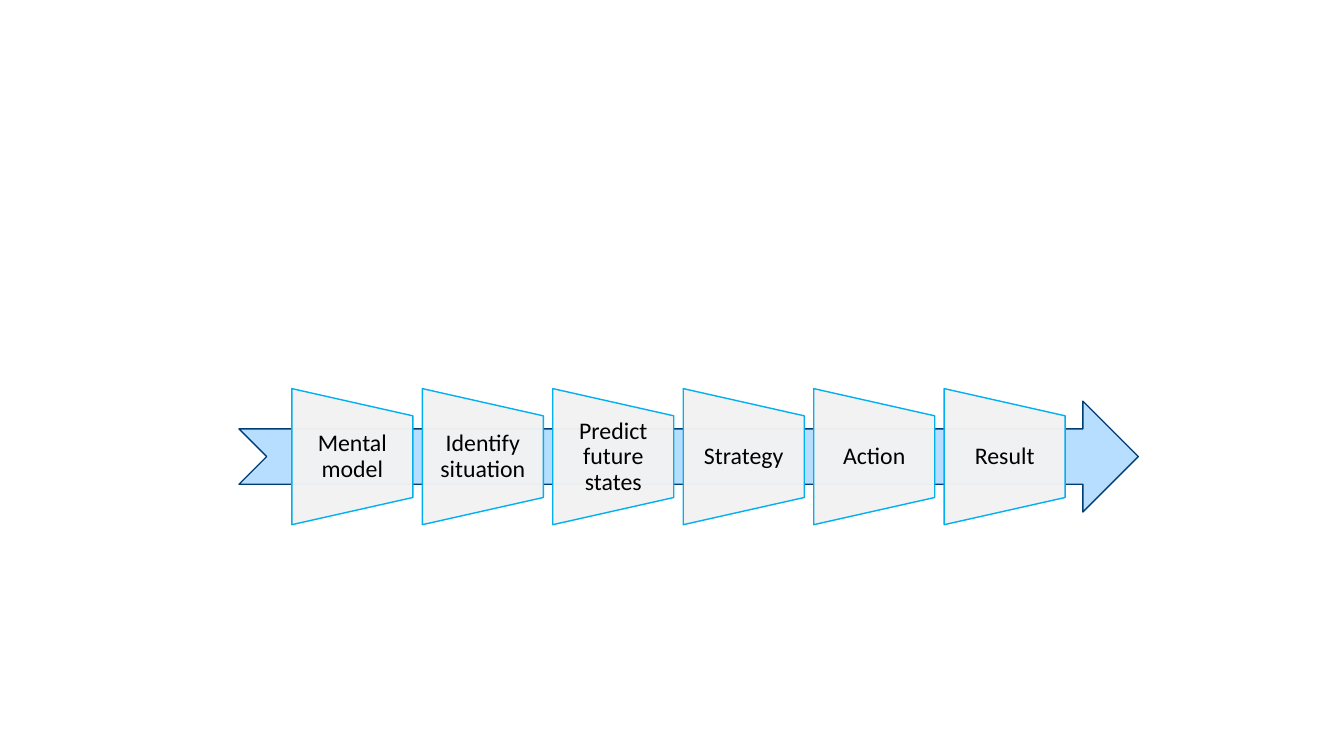
"""Build a slide with a six-step decision process along an arrow."""
from dataclasses import dataclass

from lxml import etree
from pptx import Presentation
from pptx.dml.color import RGBColor
from pptx.enum import shapes, text
from pptx.oxml import ns
from pptx.util import Inches, Pt


@dataclass(frozen=True)
class Theme:
    """Colours, font and sizes of the slide."""
    arrow_fill: str = "B8DEFF"
    arrow_line: str = "003D74"
    step_fill: str = "F2F2F2"
    step_line: str = "00B0F0"
    step_alpha: int = 97
    ink: str = "000000"
    font: str = "Calibri"
    size: int = 17
    line: int = 1


THEME = Theme()
STEPS = ["Mental model", "Identify situation", "Predict future states",
         "Strategy", "Action", "Result"]
FIRST_LEFT, LAST_LEFT = 2.82, 9.29
STEP_TOP, STEP_LENGTH, STEP_DEPTH = 3.93, 1.35, 1.2
LABEL_TOP, LABEL_HEIGHT = 4.13, 0.81


def add_outlined(parent, kind, box, fill, line):
    """Add a preset shape with a solid fill and a thin outline."""
    sp = parent.add_shape(kind, *map(Inches, box))
    sp.shadow.inherit = False
    sp.fill.solid()
    sp.fill.fore_color.rgb = RGBColor.from_string(fill)
    sp.line.color.rgb = RGBColor.from_string(line)
    sp.line.width = Pt(THEME.line)
    return sp


def set_alpha(sp, percent):
    """Set the opacity of a solid shape fill."""
    color = sp.fill._xPr.find(ns.qn("a:solidFill"))[0]
    etree.SubElement(color, ns.qn("a:alpha")).set("val", str(percent * 1000))


def add_label(parent, label, box):
    """Add a centred text label."""
    tf = parent.add_textbox(*map(Inches, box)).text_frame
    tf.word_wrap = True
    tf.vertical_anchor = text.MSO_ANCHOR.MIDDLE
    tf.margin_left = tf.margin_right = Inches(0.12)
    tf.margin_top = tf.margin_bottom = 0
    p = tf.paragraphs[0]
    p.text = label
    p.alignment = text.PP_ALIGN.CENTER
    p.line_spacing = 0.9
    p.font.name = THEME.font
    p.font.size = Pt(THEME.size)
    p.font.color.rgb = RGBColor.from_string(THEME.ink)


def add_step(parent, label, left):
    """Add a trapezoid turned to the right, with its label."""
    sp = add_outlined(parent, shapes.MSO_SHAPE.FLOWCHART_MANUAL_OPERATION,
                      (left, STEP_TOP, STEP_LENGTH, STEP_DEPTH),
                      THEME.step_fill, THEME.step_line)
    sp.rotation = 270
    set_alpha(sp, THEME.step_alpha)
    inset = (STEP_LENGTH - STEP_DEPTH) / 2
    add_label(parent, label, (left + inset, LABEL_TOP, STEP_DEPTH, LABEL_HEIGHT))


def main():
    """Build and save the slide."""
    prs = Presentation()
    prs.slide_width, prs.slide_height = Inches(13.33), Inches(7.5)
    s = prs.slides.add_slide(prs.slide_layouts[6])
    add_outlined(s.shapes, shapes.MSO_SHAPE.NOTCHED_RIGHT_ARROW,
                 (2.37, 3.98, 8.92, 1.1), THEME.arrow_fill, THEME.arrow_line)
    group = s.shapes.add_group_shape()
    pitch = (LAST_LEFT - FIRST_LEFT) / (len(STEPS) - 1)
    for i, label in enumerate(STEPS):
        add_step(group.shapes, label, FIRST_LEFT + i * pitch)
    prs.save("out.pptx")


if __name__ == "__main__":
    main()
